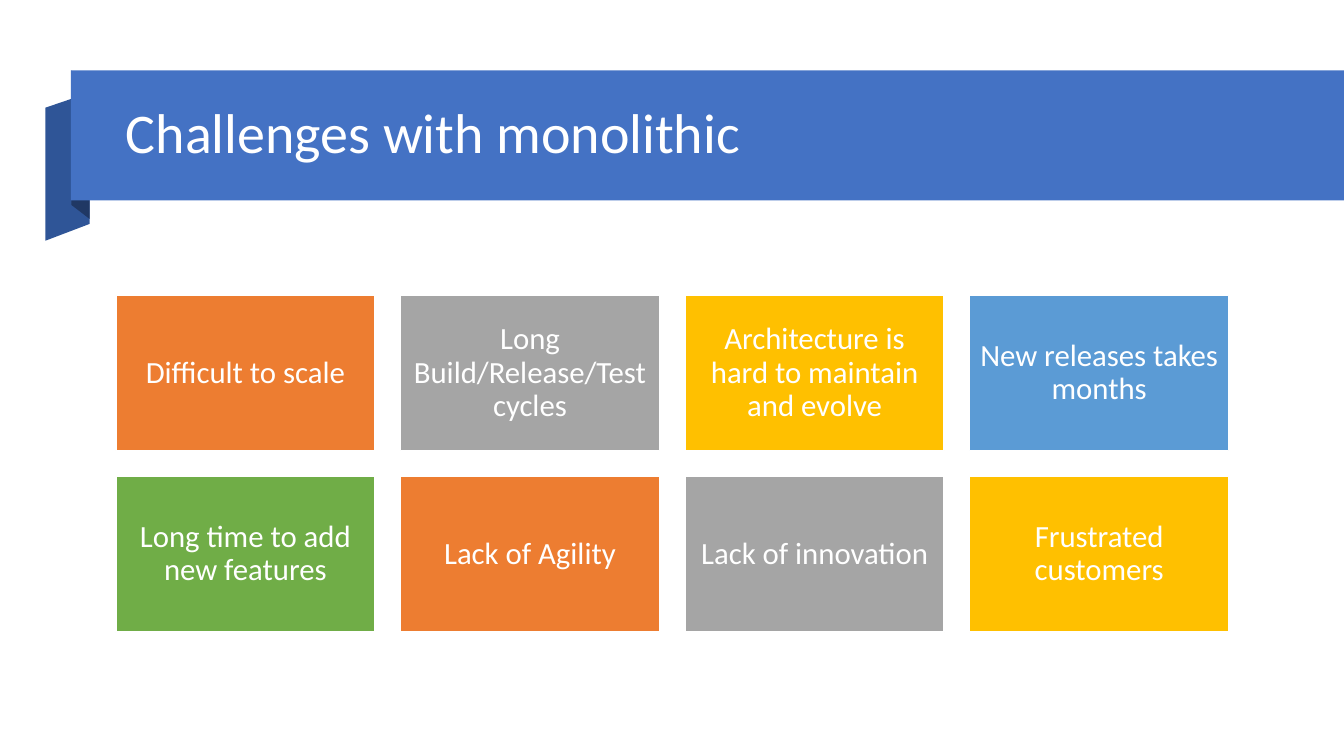
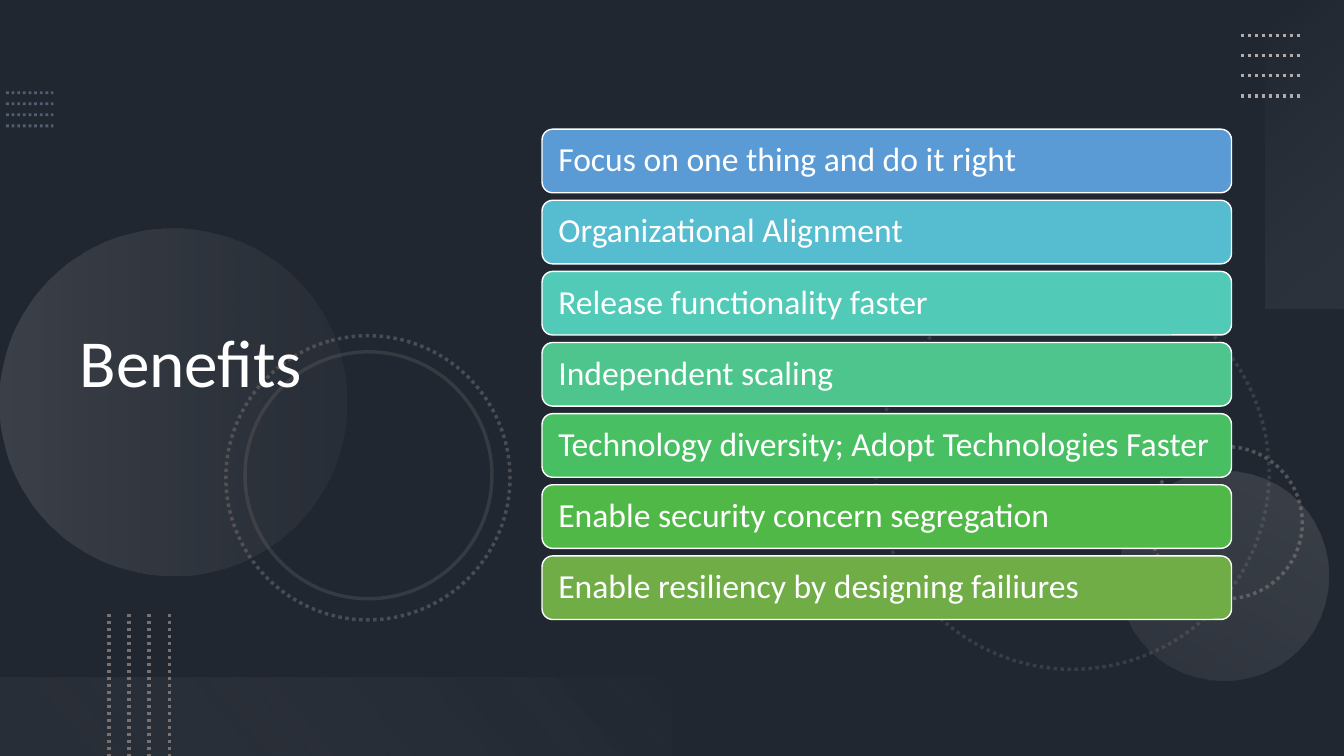
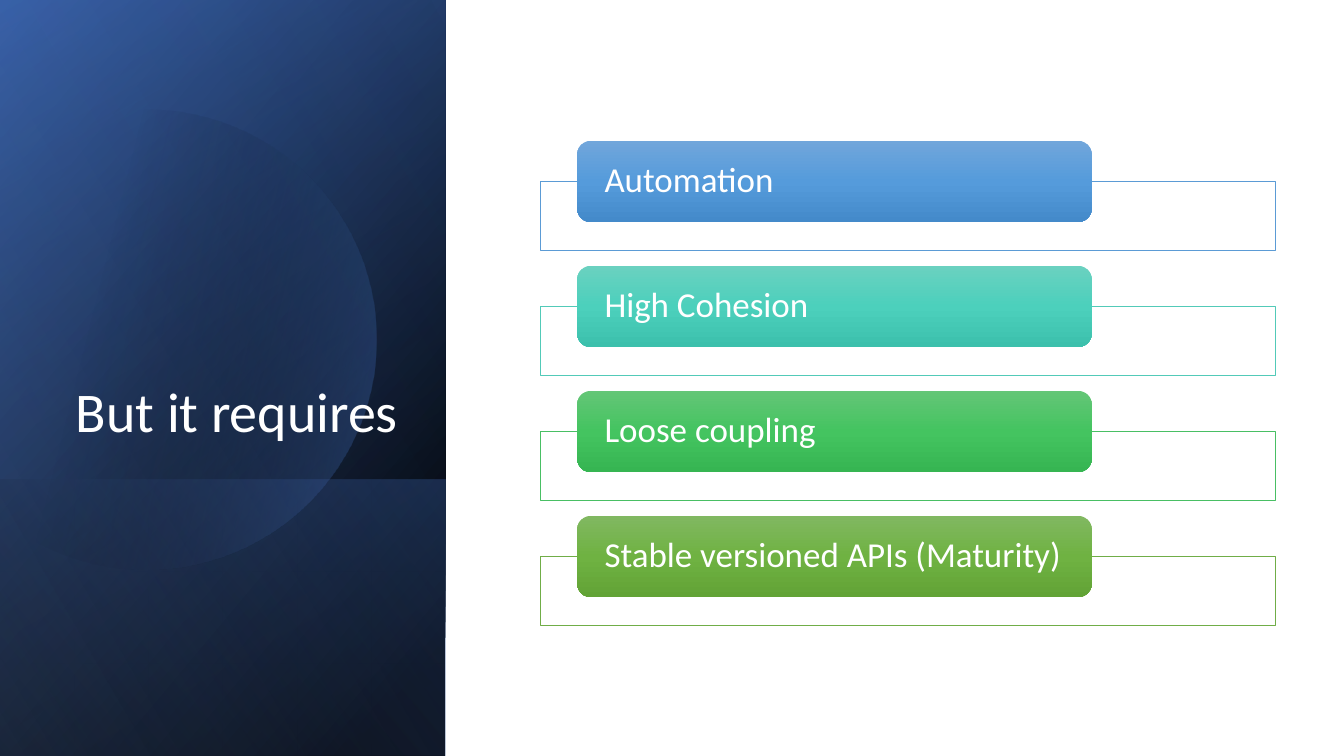
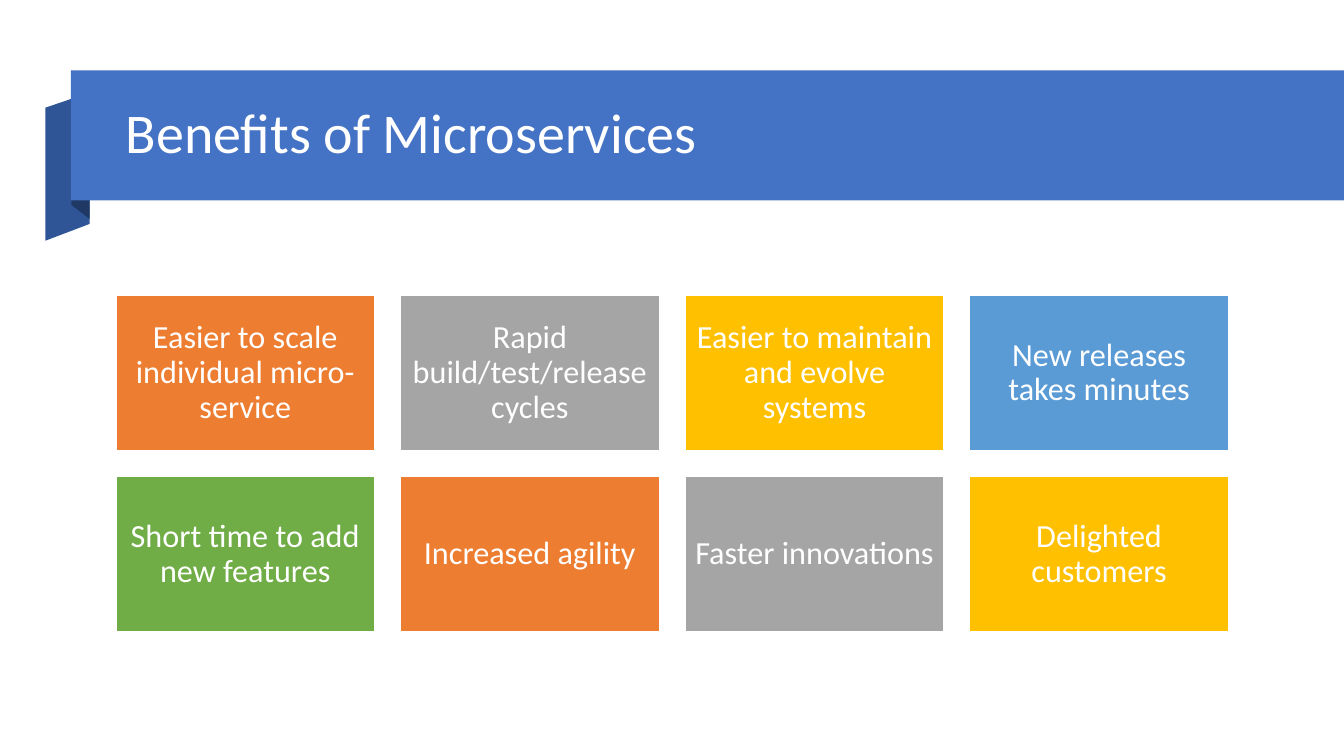
import math

from lxml import etree
from pptx import Presentation
from pptx.dml.color import RGBColor
from pptx.enum import dml, shapes, text
from pptx.oxml.ns import qn
from pptx.util import Pt

FONT = "Calibri"
COLORS = {
    "white": "FFFFFF", "black": "000000", "blue": "4472C4", "dark_blue": "2F5597",
    "navy": "203864", "pale_blue": "8FAADC", "slate": "44546A", "steel": "8497B0",
    "gray": "767171", "light_gray": "AFABAB", "mist": "F5F5F5", "fog": "F1F0F0",
    "orange": "ED7D31", "silver": "A5A5A5", "gold": "FFC000", "sky": "5B9BD5",
    "cyan": "56BCD0", "teal": "52CAB8", "mint": "4DC58D", "emerald": "49BF64",
    "leaf": "50B846", "green": "70AD47",
    "sky_top": "71A6DB", "sky_middle": "559BDB", "sky_bottom": "448ACA",
    "teal_top": "6AD1C0", "teal_middle": "4CD0BC", "teal_bottom": "3CC0AC",
    "emerald_top": "64C677", "emerald_middle": "44C460", "emerald_bottom": "36B552",
    "green_top": "81B861", "green_middle": "6FB242", "green_bottom": "62A336",
}
RECTANGLE = shapes.MSO_SHAPE.RECTANGLE
ROUNDED = shapes.MSO_SHAPE.ROUNDED_RECTANGLE
OVAL = shapes.MSO_SHAPE.OVAL
LEFT, CENTER, RIGHT = text.PP_ALIGN.LEFT, text.PP_ALIGN.CENTER, text.PP_ALIGN.RIGHT
MIDDLE, BOTTOM = text.MSO_ANCHOR.MIDDLE, text.MSO_ANCHOR.BOTTOM


def style_shape(shape, fill=None, line=None, stops=None, angle=0, rotation=0):
    """line: (colour, width, dotted, opacity); stops: (position, colour, opacity)."""
    if rotation:
        shape.rotation = rotation
    if fill:
        shape.fill.solid()
        shape.fill.fore_color.rgb = RGBColor.from_string(COLORS[fill])
    elif stops:
        gradient = etree.Element(qn("a:gradFill"), rotWithShape="1")
        stop_list = etree.SubElement(gradient, qn("a:gsLst"))
        for position, name, opacity in stops:
            stop = etree.SubElement(stop_list, qn("a:gs"), pos=str(position * 1000))
            color = etree.SubElement(stop, qn("a:srgbClr"), val=COLORS[name])
            etree.SubElement(color, qn("a:alpha"), val=str(opacity * 1000))
        etree.SubElement(gradient, qn("a:lin"), ang=str(angle * 60000), scaled="0")
        shape.element.spPr.insert(2, gradient)
    elif hasattr(shape, "fill"):
        shape.fill.background()
    if line:
        name, width, dotted, opacity = line
        shape.line.color.rgb = RGBColor.from_string(COLORS[name])
        shape.line.width = Pt(width)
        if dotted:
            shape.line.dash_style = dml.MSO_LINE.ROUND_DOT
        if opacity < 100:
            color = shape.element.xpath(".//a:ln//a:srgbClr")[0]
            etree.SubElement(color, qn("a:alpha"), val=str(opacity * 1000))
    else:
        shape.line.fill.background()
    etree.SubElement(shape.element.spPr, qn("a:effectLst"))


def write_text(shape, words, size, align=LEFT, anchor=MIDDLE, inset=7.2):
    frame = shape.text_frame
    frame.text = words
    frame.word_wrap = True
    frame.auto_size = text.MSO_AUTO_SIZE.NONE
    frame.vertical_anchor = anchor
    frame.margin_left = frame.margin_right = Pt(inset)
    frame.margin_top = frame.margin_bottom = Pt(3.6)
    paragraph = frame.paragraphs[0]
    paragraph.alignment = align
    paragraph.line_spacing = 0.9
    font = paragraph.runs[0].font
    font.name, font.size = FONT, Pt(size)
    font.color.rgb = RGBColor.from_string(COLORS["white"])


presentation = Presentation()
presentation.slide_width, presentation.slide_height = Pt(960), Pt(540)
title_only = presentation.slide_layouts[5]
slides = [presentation.slides.add_slide(title_only) for _ in range(4)]
challenges, benefits, requirements, microservices = slides

# Ribbon slides: title band above a grid of coloured tiles
ribbon_parts = [
    ("dark_blue", [(64, 160), (32.4, 172), (32.4, 77), (64, 66.2)]),
    ("navy", [(64, 156.4), (51, 146.4), (51, 50.4), (64, 61.2)]),
]
tile_colors = ["orange", "silver", "gold", "sky", "green", "orange", "silver", "gold"]
tile_slides = [
    (challenges, 22, [
        "Difficult to scale", "Long Build/Release/Test cycles",
        "Architecture is hard to maintain and evolve", "New releases takes months",
        "Long time to add new features", "Lack of Agility",
        "Lack of innovation", "Frustrated customers"]),
    (microservices, 23, [
        "Easier to scale individual micro-service", "Rapid build/test/release cycles",
        "Easier to maintain and evolve systems", "New releases takes minutes",
        "Short time to add new features", "Increased agility",
        "Faster innovations", "Delighted customers"]),
]
for slide, size, labels in tile_slides:
    for color, corners in ribbon_parts:
        points = [(Pt(x), Pt(y)) for x, y in corners]
        builder = slide.shapes.build_freeform(*points[0])
        builder.add_line_segments(points[1:])
        style_shape(builder.convert_to_shape(), color)
    band = slide.shapes.add_shape(RECTANGLE, Pt(50.6), Pt(50.2), Pt(909.4), Pt(93))
    style_shape(band, "blue")
    for index, (label, color) in enumerate(zip(labels, tile_colors)):
        row, column = divmod(index, 4)
        tile = slide.shapes.add_shape(
            RECTANGLE, Pt(82.8 + 203.3 * column), Pt(211 + 129.5 * row), Pt(185), Pt(111))
        style_shape(tile, color, ("white", 1, False, 100))
        write_text(tile, label, size, CENTER, inset=size * 0.3)

# Benefits: dark backdrop
benefits.background.fill.solid()
benefits.background.fill.fore_color.rgb = RGBColor.from_string(COLORS["slate"])
shade = benefits.shapes.add_shape(RECTANGLE, 0, 0, Pt(960), Pt(540))
style_shape(shade, stops=[(0, "black", 53), (100, "black", 53)])

# Benefits: groups of four dotted lines (first line, step to the next, line style)
dot_groups = [
    ((4.3, 66.2, 38.2, 66.2), (0, 7.9), ("steel", 2, True, 50)),
    ((886.3, 25.2, 929.5, 25.2), (0, 14.4), ("light_gray", 2.5, True, 100)),
    ((77.8, 438.5, 77.8, 540), (14.4, 0), ("gray", 2.5, True, 100)),
]
for (x1, y1, x2, y2), (dx, dy), line in dot_groups:
    for step in range(4):
        dots = benefits.shapes.add_connector(
            shapes.MSO_CONNECTOR.STRAIGHT, Pt(x1 + dx * step), Pt(y1 + dy * step),
            Pt(x2 + dx * step), Pt(y2 + dy * step))
        style_shape(dots, line=line)

# Benefits: rings, discs and bars (kind, box, rotation, line, stops, angle)
decorations = [
    (OVAL, (625.7, 197.3, 280.8, 280.8), 75, ("gray", 2.5, True, 30), None, 0),
    (OVAL, (821.5, 319, 108.7, 108.7), 270, ("gray", 2.5, True, 60), None, 0),
    (OVAL, (0, 163.4, 247.7, 247.7), 270, None,
     [(0, "light_gray", 20), (100, "gray", 10)], 90),
    (OVAL, (799.2, 336.2, 149.8, 149.8), 210, None,
     [(0, "light_gray", 10), (100, "light_gray", 20)], 90),
    (OVAL, (161.3, 239.8, 203, 203), 75, ("gray", 2.5, True, 50), None, 0),
    (OVAL, (175, 251.3, 176.4, 176.4), 75, ("gray", 2.5, False, 25), None, 0),
    (RECTANGLE, (822.2, 82.1, 220.3, 56.2), 270, None,
     [(0, "mist", 0), (100, "light_gray", 10)], 140),
    (RECTANGLE, (0, 483.8, 480, 56.2), 180, None,
     [(10, "gray", 10), (100, "fog", 0)], 140),
]
for kind, box, rotation, line, stops, angle in decorations:
    decoration = benefits.shapes.add_shape(kind, *map(Pt, box))
    style_shape(decoration, None, line, stops, angle, rotation)

# Benefits: list of bars
benefit_bars = [
    ("Focus on one thing and do it right", "sky"),
    ("Organizational Alignment", "cyan"),
    ("Release functionality faster", "teal"),
    ("Independent scaling", "mint"),
    ("Technology diversity; Adopt Technologies Faster", "emerald"),
    ("Enable security concern segregation", "leaf"),
    ("Enable resiliency by designing failiures", "green"),
]
for index, (label, color) in enumerate(benefit_bars):
    bar = benefits.shapes.add_shape(
        ROUNDED, Pt(387.2), Pt(92.3 + 50.8 * index), Pt(492.5), Pt(45.4))
    style_shape(bar, color, ("white", 1, False, 100))
    write_text(bar, label, 24, inset=9.4)

# Requirements: side panel of turned gradient layers (height, stops, angle)
panel_width = 318.2
layers = [
    (540, [(8, "black", 100), (100, "dark_blue", 100)], 50),
    (540, [(0, "black", 0), (99, "blue", 46)], 30),
    (197.3, [(2, "blue", 29), (100, "black", 30)], 130),
    "disc",
    (540, [(0, "black", 0), (99, "pale_blue", 11)], 120),
]
for layer in layers:
    if layer == "disc":
        # Circle cut off by the left edge of the slide
        center_x, center_y, radius = 104.4, 242.6, 164.2
        limit = math.acos(-center_x / radius)
        angles = [limit * (step / 60 - 1) for step in range(121)]
        points = [(Pt(center_x + radius * math.cos(a)), Pt(center_y + radius * math.sin(a)))
                  for a in angles]
        builder = requirements.shapes.build_freeform(*points[0])
        builder.add_line_segments(points[1:])
        style_shape(builder.convert_to_shape(),
                    stops=[(29, "black", 0), (100, "blue", 43)], angle=14)
        continue
    height, stops, angle = layer
    panel = requirements.shapes.add_shape(
        RECTANGLE, Pt((panel_width - height) / 2), Pt(540 - (height + panel_width) / 2),
        Pt(height), Pt(panel_width))
    style_shape(panel, stops=stops, angle=angle, rotation=90)
    panel.element.spPr.xfrm.set("flipH", "1")

# Requirements: labels over outlined frames
requirement_labels = [
    ("Automation", "sky"), ("High Cohesion", "teal"),
    ("Loose coupling", "emerald"), ("Stable versioned APIs (Maturity)", "green"),
]
for index, (label, color) in enumerate(requirement_labels):
    offset = 89.3 * index
    frame = requirements.shapes.add_shape(
        RECTANGLE, Pt(386), Pt(129.5 + offset), Pt(525), Pt(49.5))
    style_shape(frame, "white", (color, 0.5, False, 100))
    pill = requirements.shapes.add_shape(
        ROUNDED, Pt(412.3), Pt(100.6 + offset), Pt(367.5), Pt(58))
    shades = [(0, "_top"), (50, "_middle"), (100, "_bottom")]
    style_shape(pill, stops=[(at, color + part, 100) for at, part in shades], angle=90)
    write_text(pill, label, 25, inset=16.7)

# Titles, in front of the bands and panels
ribbon_box = (82.8, 62, 811.4, 69)
titles = [
    ("Challenges with monolithic", ribbon_box, 40, LEFT, MIDDLE),
    ("Benefits", (49.7, 38.9, 330.5, 444.2), 48, LEFT, MIDDLE),
    ("But it requires", (46, 132.5, 245.5, 188.6), 40, RIGHT, BOTTOM),
    ("Benefits of Microservices", ribbon_box, 40, LEFT, MIDDLE),
]
for slide, (words, box, size, align, anchor) in zip(slides, titles):
    title = slide.shapes.title
    title.left, title.top, title.width, title.height = map(Pt, box)
    write_text(title, words, size, align, anchor)
    slide.shapes.element.append(title.element)

presentation.save("out.pptx")
